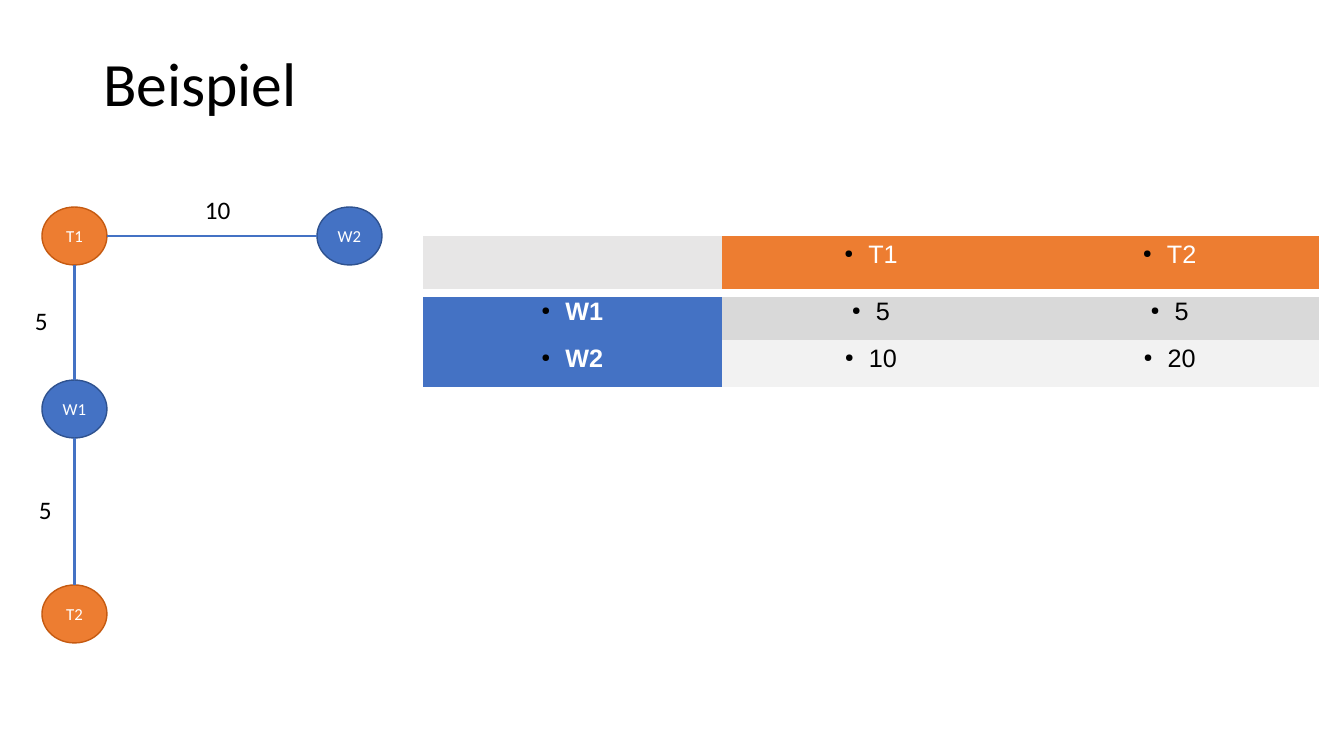
"""Build the example slide: a small weighted graph beside its distance table."""
from dataclasses import dataclass

from pptx import Presentation
from pptx.dml.color import RGBColor
from pptx.enum.shapes import MSO_CONNECTOR, MSO_SHAPE
from pptx.enum.text import MSO_ANCHOR, PP_ALIGN
from pptx.oxml.ns import qn
from pptx.oxml.xmlchemy import OxmlElement
from pptx.util import Pt

PX = 9071
TITLE_ONLY = 5
OVAL = MSO_SHAPE.OVAL
STRAIGHT = MSO_CONNECTOR.STRAIGHT
LEFT, CENTER = PP_ALIGN.LEFT, PP_ALIGN.CENTER
TOP, MIDDLE = MSO_ANCHOR.TOP, MSO_ANCHOR.MIDDLE
PLAIN_TABLE = "{2D5ABB26-0587-4C30-8999-92F81FD0307C}"


@dataclass(frozen=True)
class Theme:
    """Colours, fonts and type sizes of the slide."""
    black: str = "000000"
    white: str = "FFFFFF"
    blue: str = "4472C4"
    blue_edge: str = "2F528F"
    orange: str = "ED7D31"
    orange_edge: str = "C55A11"
    corner: str = "E7E6E6"
    bands: tuple = ("D9D9D9", "F2F2F2")
    font: str = "Calibri"
    table_font: str = "Arial"
    title_size: int = 44
    text_size: int = 18
    node_size: int = 12


THEME = Theme()


def px(*lengths):
    """Turn pixel lengths into EMU."""
    return [round(length * PX) for length in lengths]


def rgb(code):
    """Return the colour for a hex code."""
    return RGBColor.from_string(code)


def write(frame, text, size=THEME.text_size, font=THEME.font, color=THEME.black,
          bold=False, align=LEFT, spacing=None):
    """Put one formatted paragraph into a text frame and return it."""
    para = frame.paragraphs[0]
    para.alignment = align
    para.line_spacing = spacing
    span = para.add_run()
    span.text = text
    span.font.size = Pt(size)
    span.font.name = font
    span.font.bold = bold
    span.font.color.rgb = rgb(color)
    return para


def add_title(page, box, text):
    """Place and fill the title placeholder."""
    title = page.shapes.title
    title.left, title.top, title.width, title.height = px(*box)
    title.text_frame.vertical_anchor = MIDDLE
    write(title.text_frame, text, size=THEME.title_size, spacing=0.9)


def add_node(page, box, name):
    """Draw a named node, orange for T and blue for W."""
    node = page.shapes.add_shape(OVAL, *px(*box))
    node.shadow.inherit = False
    fill, edge = ((THEME.orange, THEME.orange_edge) if name.startswith("T")
                  else (THEME.blue, THEME.blue_edge))
    node.fill.solid()
    node.fill.fore_color.rgb = rgb(fill)
    node.line.color.rgb = rgb(edge)
    node.line.width = Pt(1)
    frame = node.text_frame
    frame.margin_left = frame.margin_right = 0
    frame.vertical_anchor = MIDDLE
    write(frame, name, size=THEME.node_size, color=THEME.white, align=CENTER)


def add_edge(page, start, end):
    """Draw a straight blue edge between two points."""
    edge = page.shapes.add_connector(STRAIGHT, *px(*start, *end))
    edge.line.color.rgb = rgb(THEME.blue)
    edge.line.width = Pt(1.5)
    edge.element.spPr.append(OxmlElement("a:effectLst"))


def add_weight(page, box, text):
    """Write the weight of an edge."""
    frame = page.shapes.add_textbox(*px(*box)).text_frame
    frame.word_wrap = True
    frame.vertical_anchor = TOP
    write(frame, text, spacing=0.9)


def add_graph(page, box):
    """Draw nodes, edges and weights from the top left corner of the box."""
    left, top, width, height = box
    node_width, node_height = 65, 58
    far_x, far_y = left + width - node_width, top + height - node_height
    corners = {"T1": (left, top), "W2": (far_x, top),
               "W1": (left, top + 173), "T2": (left, far_y)}
    for name, corner in corners.items():
        add_node(page, (*corner, node_width, node_height), name)
    middle_x, middle_y = left + node_width / 2, top + node_height / 2
    add_edge(page, (left + node_width, middle_y), (far_x, middle_y))
    for upper, lower in (("T1", "W1"), ("W1", "T2")):
        add_edge(page, (middle_x, corners[upper][1] + node_height),
                 (middle_x, corners[lower][1]))
    add_weight(page, (left + 153, top - 14, 55, 37), "10")
    add_weight(page, (left - 17, top + 97, 35, 37), "5")
    add_weight(page, (left - 13, top + 286, 35, 37), "5")


def add_bullet(para):
    """Give a paragraph a small black bullet with a hanging indent."""
    properties = para._p.get_or_add_pPr()
    indent, = px(24)
    properties.set("marL", str(indent))
    properties.set("indent", str(-indent))
    color = OxmlElement("a:buClr")
    shade = OxmlElement("a:srgbClr")
    shade.set("val", THEME.black)
    color.append(shade)
    size = OxmlElement("a:buSzPct")
    size.set("val", "45000")
    mark = OxmlElement("a:buChar")
    mark.set("char", "●")
    properties.extend((color, size, mark))


def add_bottom_border(cell, color, width):
    """Give a table cell a solid bottom border."""
    border = OxmlElement("a:lnB")
    border.set("w", str(Pt(width)))
    paint = OxmlElement("a:solidFill")
    shade = OxmlElement("a:srgbClr")
    shade.set("val", color)
    paint.append(shade)
    border.append(paint)
    cell._tc.get_or_add_tcPr().insert(0, border)


def cell_colors(row, column):
    """Return the fill and text colours of a table position."""
    if row == 0:
        return (THEME.orange if column else THEME.corner), THEME.white
    if column == 0:
        return THEME.blue, THEME.white
    return THEME.bands[(row - 1) % 2], THEME.black


def add_distances(page, box, values, row_heights):
    """Build the distance table with equal columns."""
    holder = page.shapes.add_table(len(values), len(values[0]), *px(*box))
    holder.element.find(".//" + qn("a:tableStyleId")).text = PLAIN_TABLE
    table = holder.table
    for column in table.columns:
        column.width, = px(box[2] / len(values[0]))
    for row, height in zip(table.rows, row_heights):
        row.height, = px(height)
    for y, line in enumerate(values):
        for x, text in enumerate(line):
            cell = table.cell(y, x)
            fill, color = cell_colors(y, x)
            cell.fill.solid()
            cell.fill.fore_color.rgb = rgb(fill)
            if y == 0:
                add_bottom_border(cell, THEME.white, 6)
            if text:
                add_bullet(write(cell.text_frame, text, font=THEME.table_font, color=color,
                                 bold=y > 0 and x == 0, align=CENTER))


def main():
    """Build and save the deck."""
    deck = Presentation()
    deck.slide_width, deck.slide_height = px(1344, 756)
    page = deck.slides.add_slide(deck.slide_layouts[TITLE_ONLY])
    add_title(page, (93, 43, 1159, 87), "Beispiel")
    add_graph(page, (42, 207, 340, 436))
    values = (("", "T1", "T2"), ("W1", "5", "5"), ("W2", "10", "20"))
    add_distances(page, (423, 236, 896, 151), values, (57, 47, 47))
    deck.save("out.pptx")


if __name__ == "__main__":
    main()
